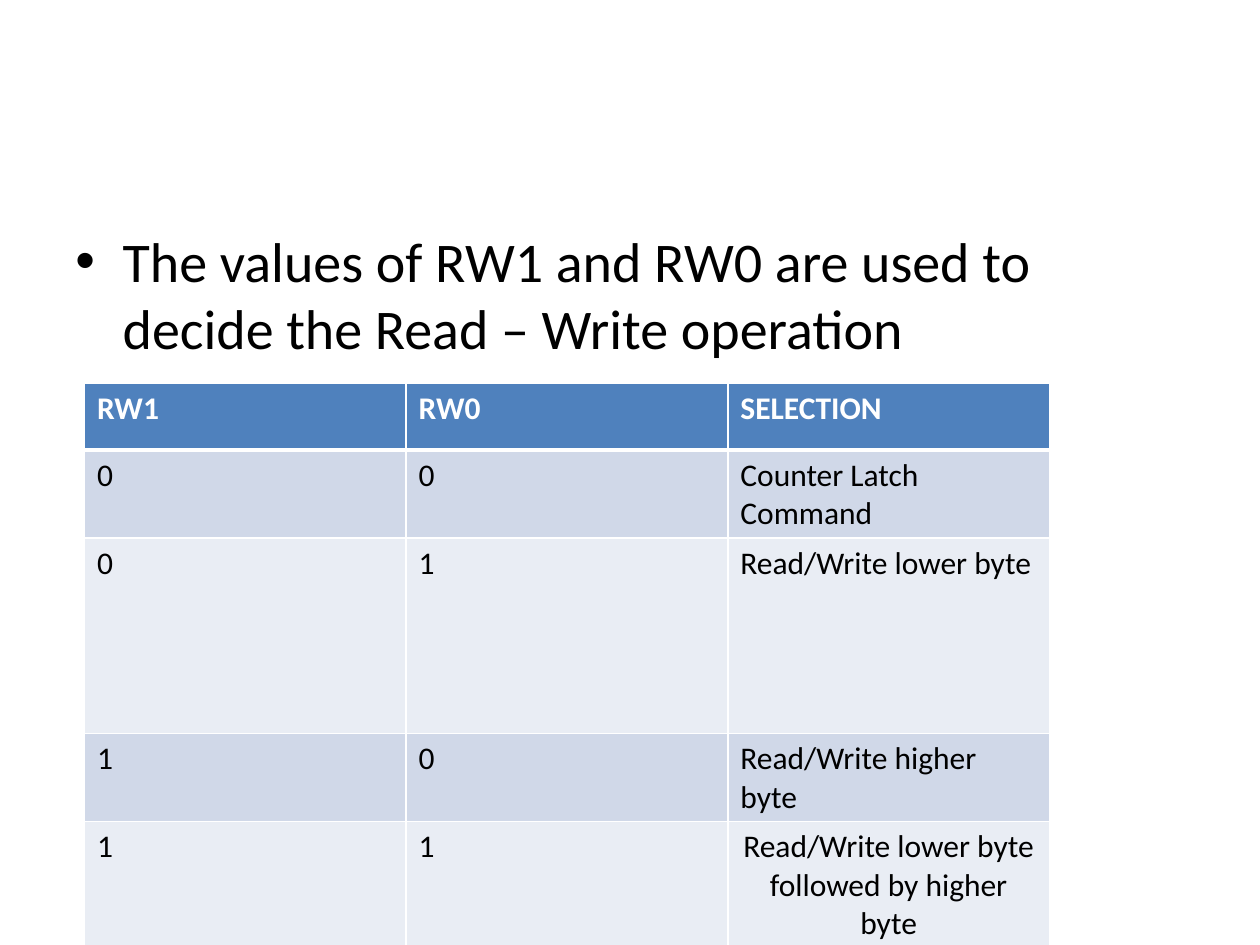
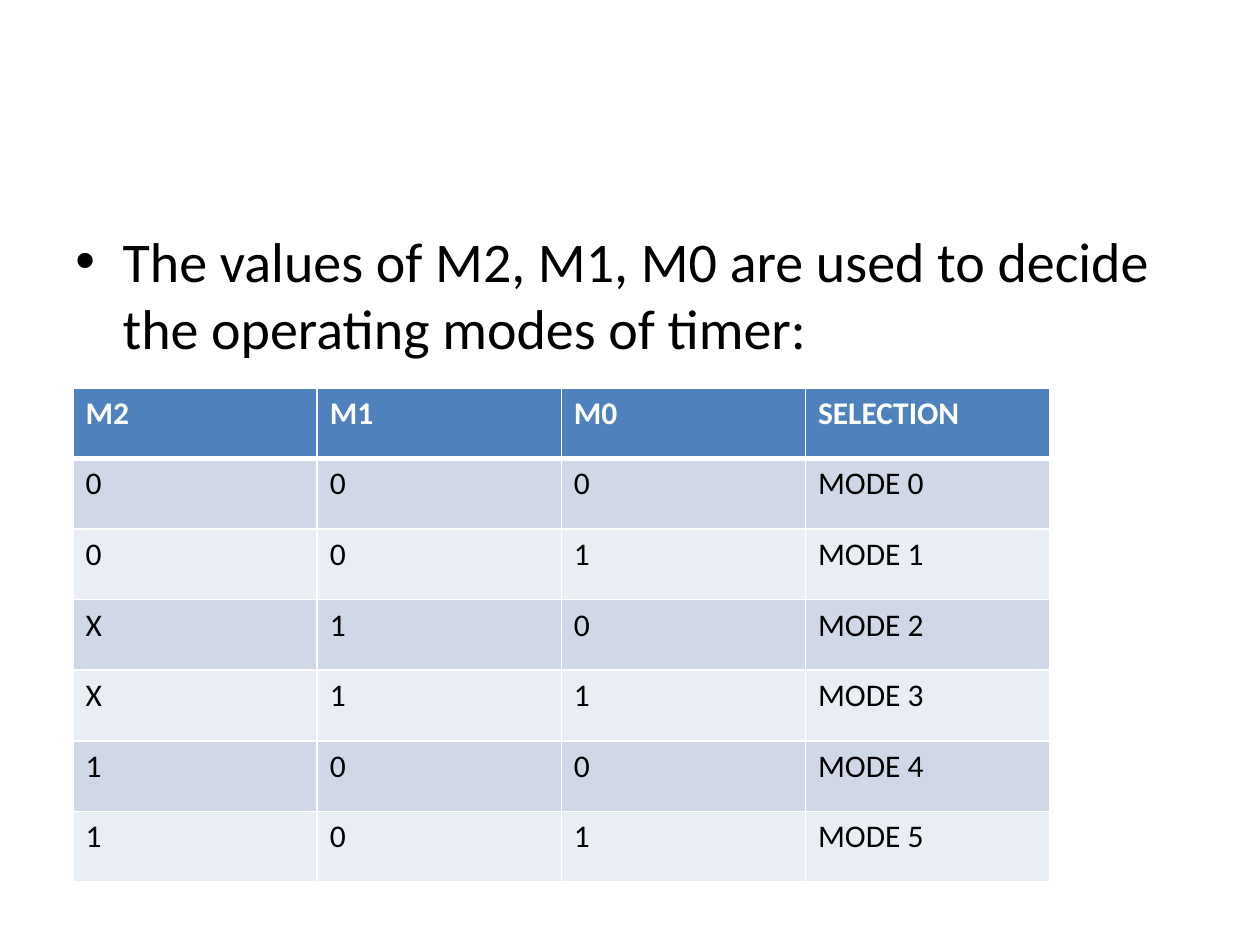
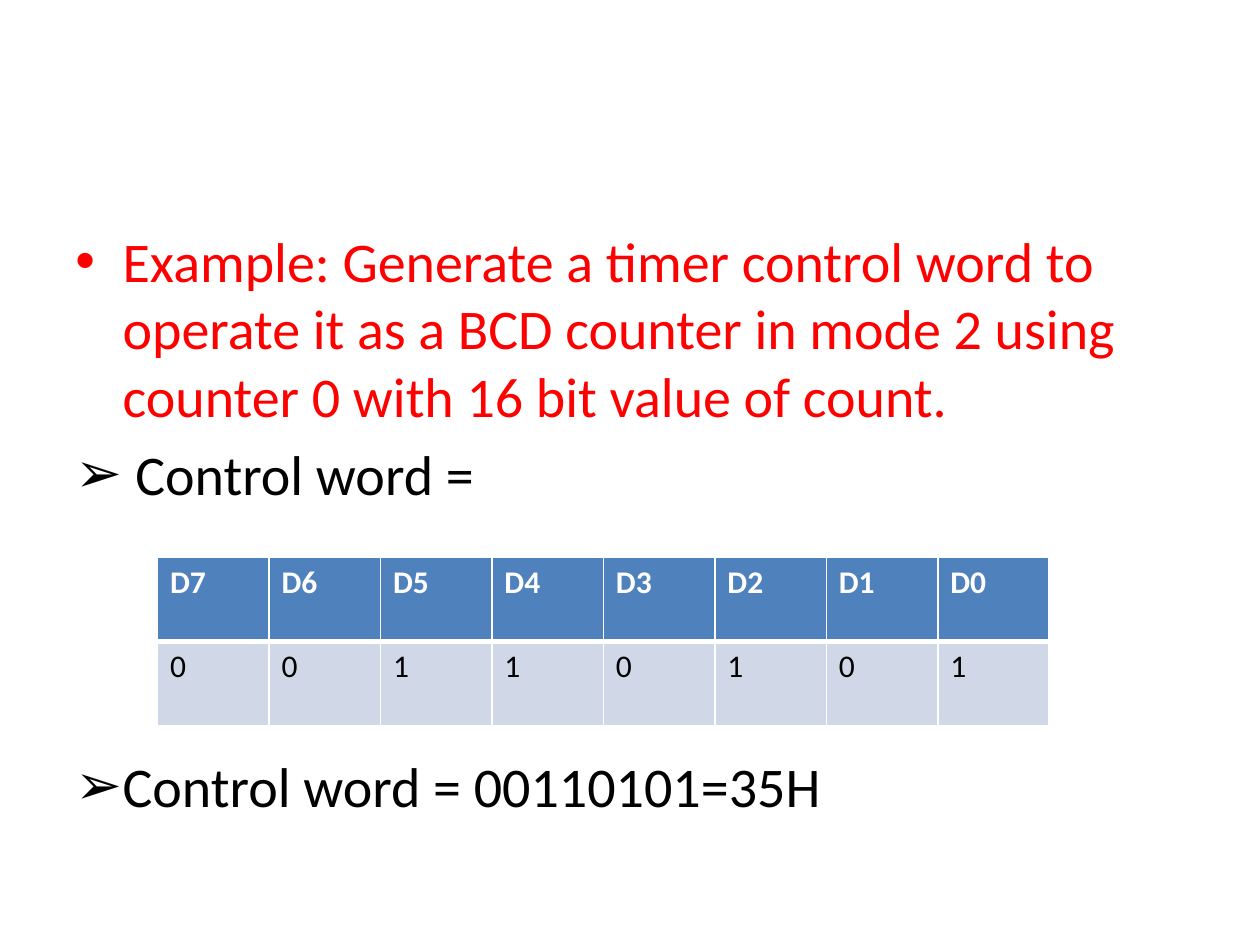
import pptx
import pptx.dml.color
import pptx.enum.text
import pptx.oxml
import pptx.oxml.ns
import pptx.util
from lxml import etree

Inches = pptx.util.Inches
Pt = pptx.util.Pt

FONT = "Calibri"
BLACK, WHITE, RED = "000000", "FFFFFF", "FF0000"
HEADER_FILL = "4F81BD"
BAND_FILLS = ["D0D8E8", "E9EDF4"]
DOT, ARROW = "•", "➢"
INDENT = 0.375
TABLE_RIGHT = 8.33


def color(value):
    return pptx.dml.color.RGBColor.from_string(value)


def add_xml(parent, tag, **attrs):
    return etree.SubElement(parent, pptx.oxml.ns.qn(tag), attrs)


def write_text(p, text, size=18, fill=BLACK, bold=False, centered=False):
    r = p.add_run()
    r.text = text
    r.font.name = FONT
    r.font.size = Pt(size)
    r.font.bold = bold
    r.font.color.rgb = color(fill)
    if centered:
        p.alignment = pptx.enum.text.PP_ALIGN.CENTER


def set_bullet(p, char):
    pPr = p._p.get_or_add_pPr()
    pPr.set("marL", str(Inches(INDENT)))
    pPr.set("indent", str(-Inches(INDENT)))
    add_xml(pPr, "a:buFont", typeface="Arial")
    add_xml(pPr, "a:buChar", char=char)


def add_body(s, items):
    tf = s.shapes.add_textbox(Inches(0.5), Inches(1.75), Inches(9), Inches(4.95)).text_frame
    tf.word_wrap = True
    for i, (char, text, fill, gap) in enumerate(items):
        p = tf.add_paragraph() if i else tf.paragraphs[0]
        p.space_before = Pt(gap)
        set_bullet(p, char)
        write_text(p, text, size=32, fill=fill)


def set_border(cell, side, width):
    ln = add_xml(cell._tc.get_or_add_tcPr(), "a:ln" + side, w=str(Pt(width)))
    add_xml(add_xml(ln, "a:solidFill"), "a:srgbClr", val=WHITE)


def fill_cell(cell, text, row, centered=False):
    header = row == 0
    for side in "LRTB":
        under_header = (row, side) in [(0, "B"), (1, "T")]
        set_border(cell, side, 3 if under_header else 1)
    cell.fill.solid()
    cell.fill.fore_color.rgb = color(HEADER_FILL if header else BAND_FILLS[(row - 1) % 2])
    write_text(cell.text_frame.paragraphs[0], text, fill=WHITE if header else BLACK,
               bold=header, centered=centered)
    if centered:
        cell.vertical_anchor = pptx.enum.text.MSO_ANCHOR.MIDDLE


def add_grid(s, left, top, heights, rows, centered_cell=None):
    width = TABLE_RIGHT - left
    table = s.shapes.add_table(len(rows), len(rows[0]), Inches(left), Inches(top),
                               Inches(width), Inches(sum(heights))).table
    for column in table.columns:
        column.width = Inches(width / len(rows[0]))
    for i, (height, texts) in enumerate(zip(heights, rows)):
        table.rows[i].height = Inches(height)
        for j, text in enumerate(texts):
            fill_cell(table.cell(i, j), text, i, centered=(i, j) == centered_cell)


def add_slide(prs):
    return prs.slides.add_slide(prs.slide_layouts[6])


def add_read_write(prs):
    s = add_slide(prs)
    add_body(s, [(DOT, "The values of RW1 and RW0 are used to decide the Read – Write operation", BLACK, 6.4)])
    add_grid(s, 0.67, 3.04, [0.53, 0.53, 1.55, 0.53, 0.53], [
        ["RW1", "RW0", "SELECTION"],
        ["0", "0", "Counter Latch Command"],
        ["0", "1", "Read/Write lower byte"],
        ["1", "0", "Read/Write higher byte"],
        ["1", "1", "Read/Write lower byte followed by higher byte"],
    ], centered_cell=(4, 2))


def add_modes(prs):
    s = add_slide(prs)
    add_body(s, [(DOT, "The values of M2, M1, M0 are used to decide the operating modes of timer:", BLACK, 6.4)])
    mode_bits = ["000", "001", "X10", "X11", "100", "101"]
    rows = [["M2", "M1", "M0", "SELECTION"]]
    rows += [[*bits, f"MODE {mode}"] for mode, bits in enumerate(mode_bits)]
    add_grid(s, 0.58, 3.08, [0.56] * len(rows), rows)


def add_example(prs):
    s = add_slide(prs)
    control_word = "00110101"
    add_body(s, [
        (DOT, "Example: Generate a timer control word to operate it as a BCD counter in mode 2 "
              "using counter 0 with 16 bit value of count.", RED, 6.4),
        (ARROW, " Control word =", BLACK, 6.4),
        (ARROW, f"Control word = {control_word}=35H", BLACK, 140),
    ])
    add_grid(s, 1.25, 4.42, [0.67] * 2, [[f"D{bit}" for bit in range(7, -1, -1)], list(control_word)])


def main():
    prs = pptx.Presentation()
    prs.slide_width, prs.slide_height = Inches(10), Inches(7.5)
    add_read_write(prs)
    add_modes(prs)
    add_example(prs)
    prs.save("out.pptx")


if __name__ == "__main__":
    main()
